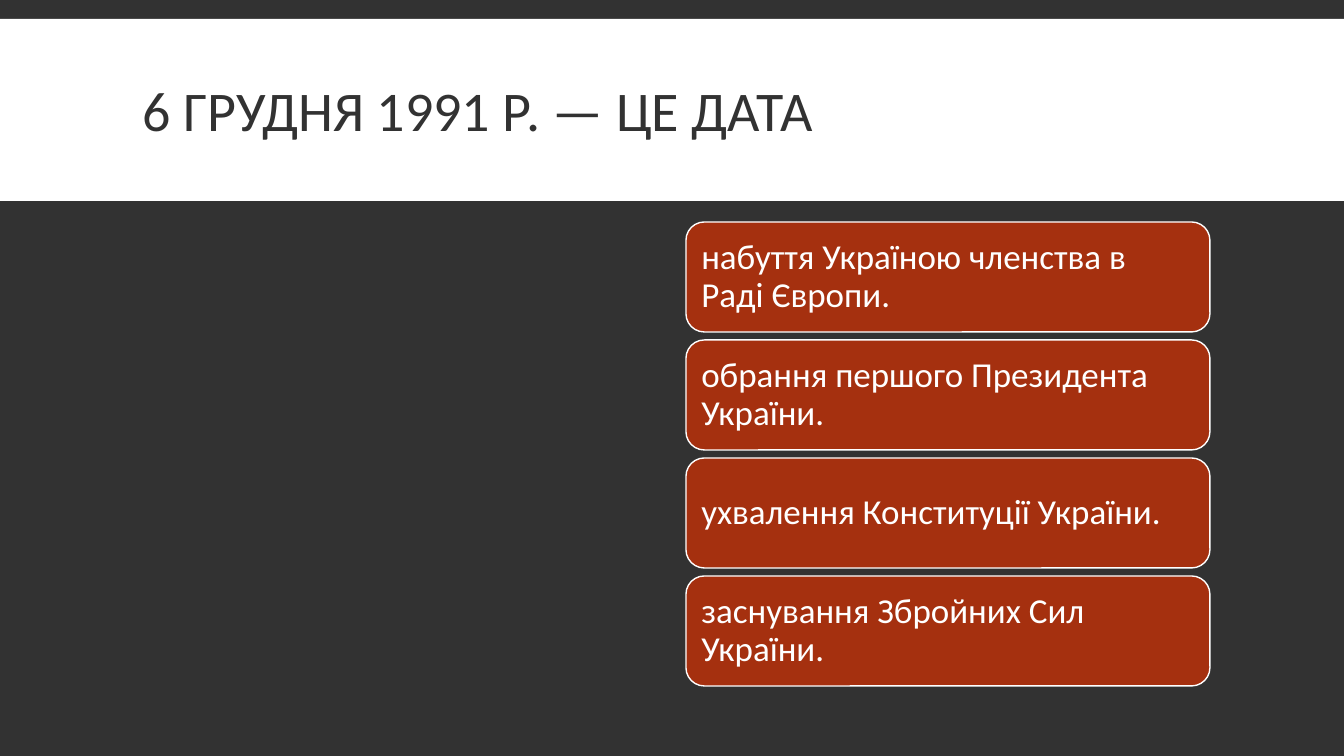
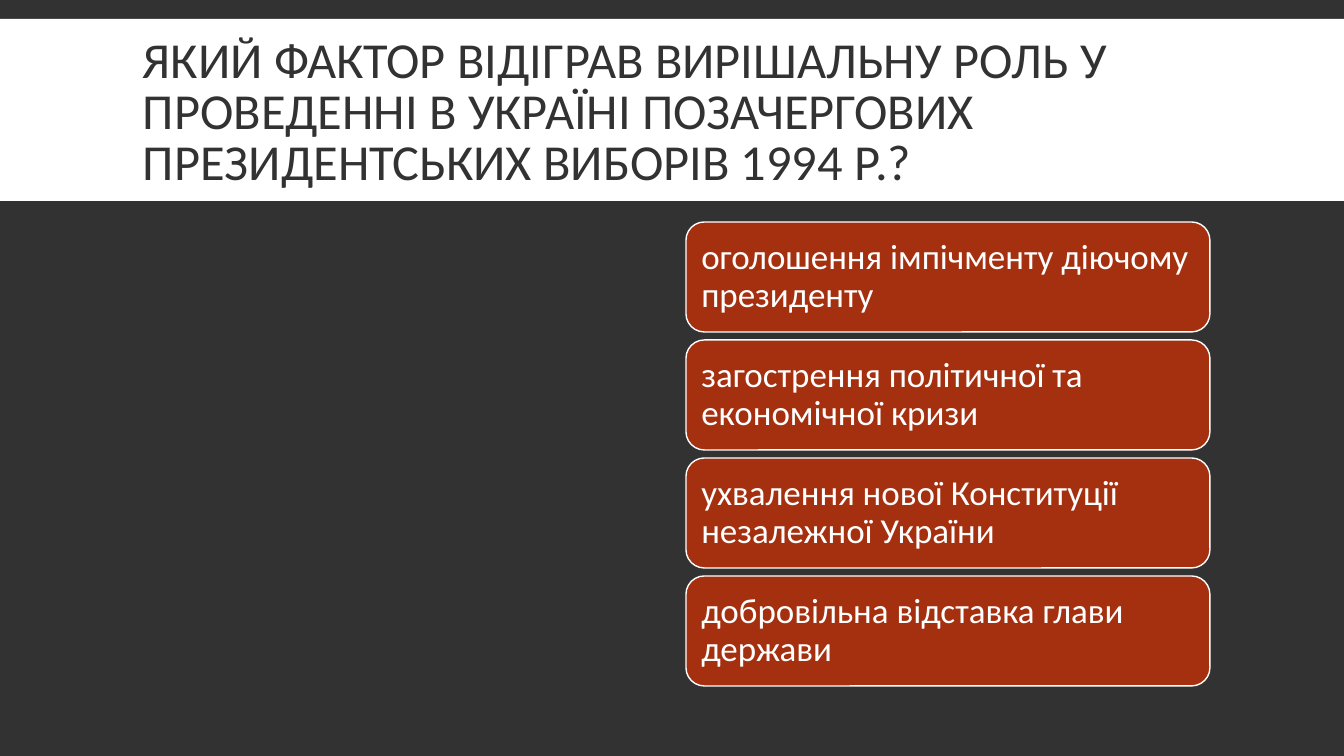
from pptx import Presentation
from pptx.dml.color import RGBColor
from pptx.enum.shapes import MSO_SHAPE as Shape
from pptx.enum.text import MSO_ANCHOR as Anchor, PP_ALIGN as Align
from pptx.util import Emu, Pt

DARK = RGBColor(0x32, 0x32, 0x32)
WHITE = RGBColor(0xFF, 0xFF, 0xFF)
RUST = RGBColor(0xA5, 0x30, 0x0F)
FONT = "Calibri"
WIDTH, HEIGHT = 1344, 756
SCALE = 12192000 / WIDTH

LEFT, TOP = 686, 222
CARD_W, CARD_H, GAP = 524, 110, 8

QUIZ = [
    ("6 ГРУДНЯ 1991 Р. — ЦЕ ДАТА", 40, [
        "набуття Україною членства в Раді Європи.",
        "обрання першого Президента України.",
        "ухвалення Конституції України.",
        "заснування Збройних Сил України.",
    ]),
    ("ЯКИЙ ФАКТОР ВІДІГРАВ ВИРІШАЛЬНУ РОЛЬ У ПРОВЕДЕННІ В УКРАЇНІ "
     "ПОЗАЧЕРГОВИХ ПРЕЗИДЕНТСЬКИХ ВИБОРІВ 1994 Р.?", 36, [
        "оголошення імпічменту діючому президенту",
        "загострення політичної та економічної кризи",
        "ухвалення нової Конституції незалежної України",
        "добровільна відставка глави держави",
    ]),
]


def px(num):
    return Emu(round(num * SCALE))


def put_text(shape, text, size, color, spacing):
    frame = shape.text_frame
    frame.text = text
    frame.word_wrap = True
    frame.vertical_anchor = Anchor.MIDDLE
    frame.margin_left = frame.margin_right = px(10)
    para = frame.paragraphs[0]
    para.alignment = Align.LEFT
    para.line_spacing = spacing
    font = para.runs[0].font
    font.name, font.size = FONT, Pt(size)
    font.color.rgb = color


def add_block(slide, kind, box, fill):
    block = slide.shapes.add_shape(kind, *map(px, box))
    block.shadow.inherit = False
    block.fill.solid()
    block.fill.fore_color.rgb = fill
    block.line.fill.background()
    return block


def add_title(slide, text, size):
    add_block(slide, Shape.RECTANGLE, (0, 19, WIDTH, 182), WHITE)
    title = slide.shapes.add_textbox(*map(px, (133, 31, 1079, 166)))
    put_text(title, text, size, DARK, 0.85)


def add_card(slide, row, text):
    top = TOP + row * (CARD_H + GAP)
    card = add_block(slide, Shape.ROUNDED_RECTANGLE,
                     (LEFT, top, CARD_W, CARD_H), RUST)
    card.line.color.rgb = WHITE
    card.line.width = Pt(1)
    put_text(card, text, 25, WHITE, 0.9)


def main():
    deck = Presentation()
    deck.slide_width, deck.slide_height = px(WIDTH), px(HEIGHT)
    back = deck.slide_master.background.fill
    back.solid()
    back.fore_color.rgb = DARK
    for title, size, answers in QUIZ:
        slide = deck.slides.add_slide(deck.slide_layouts[6])
        add_title(slide, title, size)
        for row, text in enumerate(answers):
            add_card(slide, row, text)
    deck.save("out.pptx")


if __name__ == "__main__":
    main()
